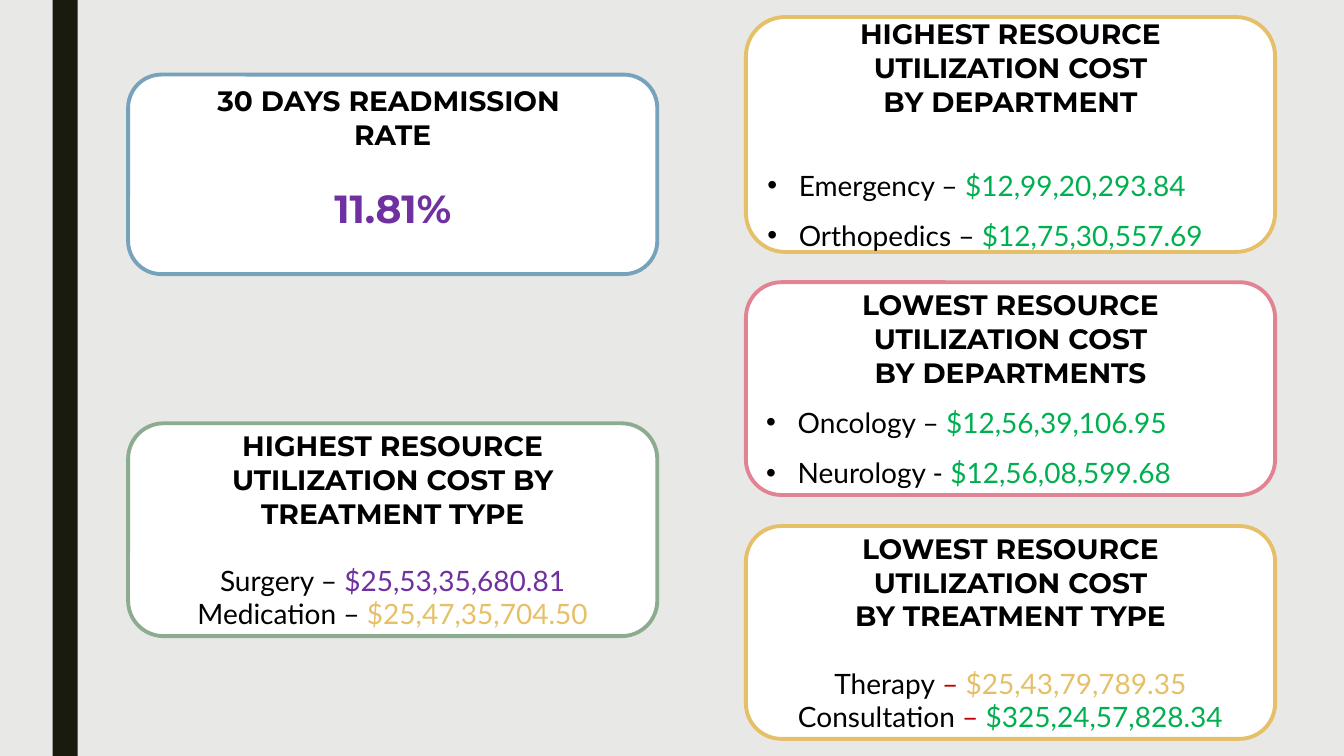
from dataclasses import dataclass
from typing import Any, NamedTuple

from lxml import etree
from pptx import Presentation
from pptx import util as u
from pptx.dml.color import RGBColor
from pptx.enum import shapes, text
from pptx.oxml import ns

BACKDROP = RGBColor(0xE8, 0xE8, 0xE7)
BAR = RGBColor(0x19, 0x1B, 0x0E)
WHITE = RGBColor(0xFF, 0xFF, 0xFF)
BLACK = RGBColor(0x00, 0x00, 0x00)
BLUE = RGBColor(0x77, 0xA2, 0xBB)
SAGE = RGBColor(0x8D, 0xAB, 0x8E)
GOLD = RGBColor(0xE6, 0xC0, 0x69)
PINK = RGBColor(0xE2, 0x83, 0x94)
PURPLE = RGBColor(0x70, 0x30, 0xA0)
GREEN = RGBColor(0x00, 0xB0, 0x50)
RED = RGBColor(0xC0, 0x00, 0x00)

LEFT_X, RIGHT_X = 91.5, 532.8
CARD_W, CARD_H = 378, 152
GAP = 24
INDENT = 22.5

HEADING = {"name": "Montserrat", "size": u.Pt(20), "bold": True}
RATE = HEADING | {"size": u.Pt(28)}
BODY = {"name": "Lato", "size": u.Pt(20), "bold": False}
CENTERED = {"alignment": text.PP_ALIGN.CENTER}
LISTED = {"alignment": text.PP_ALIGN.JUSTIFY, "line_spacing": 1.5}


class Piece(NamedTuple):
    words: str
    color: RGBColor = BLACK


@dataclass
class Line:
    pieces: list[Piece]
    font: dict[str, Any]
    gap: float = 0
    bullet: bool = False


@dataclass
class Card:
    x: float
    y: float
    h: float
    outline: RGBColor
    lines: list[Line]
    bottom_inset: float = 3.6


def heading(*rows: str) -> list[Line]:
    return [Line([Piece(row)], HEADING) for row in rows]


def cost(label: str, dash: str, amount: str, color: RGBColor, gap: float = 0,
         bullet: bool = False, dash_color: RGBColor = BLACK) -> Line:
    pieces = [Piece(label), Piece(dash, dash_color), Piece(amount, color)]
    return Line(pieces, BODY, gap, bullet)


CARDS = [
    Card(LEFT_X, 53.3, 142.5, BLUE, [
        *heading("30 DAYS READMISSION ", "RATE"),
        Line([Piece("11.81%", PURPLE)], RATE, GAP),
    ], 3.6 + GAP),
    Card(LEFT_X, 302.4, CARD_H, SAGE, [
        *heading("HIGHEST RESOURCE UTILIZATION COST BY TREATMENT TYPE"),
        cost("Surgery", " – ", "$25,53,35,680.81", PURPLE, GAP),
        cost("Medication", " – ", "$25,47,35,704.50", GOLD),
    ]),
    Card(RIGHT_X, 375.8, CARD_H, GOLD, [
        *heading("LOWEST RESOURCE UTILIZATION COST", "BY TREATMENT TYPE"),
        cost("Therapy", " – ", "$25,43,79,789.35", GOLD, GAP, dash_color=RED),
        cost("Consultation", " – ", "$325,24,57,828.34", GREEN, dash_color=RED),
    ]),
    Card(RIGHT_X, 201.6, CARD_H, PINK, [
        *heading("LOWEST RESOURCE UTILIZATION COST", "BY DEPARTMENTS"),
        cost("Oncology", " – ", "$12,56,39,106.95", GREEN, bullet=True),
        cost("Neurology", " - ", "$12,56,08,599.68", GREEN, bullet=True),
    ]),
    Card(RIGHT_X, 12.2, 167.8, GOLD, [
        *heading("HIGHEST RESOURCE UTILIZATION COST", "BY DEPARTMENT"),
        cost("Emergency", " – ", "$12,99,20,293.84", GREEN, GAP, True),
        cost("Orthopedics", " – ", "$12,75,30,557.69", GREEN, bullet=True),
    ]),
]


def assign(target: Any, values: dict[str, Any]) -> None:
    for key, value in values.items():
        setattr(target, key, value)


def add_box(s: Any, kind: Any, x: float, y: float, w: float, h: float,
            fill: RGBColor) -> Any:
    sp = s.shapes.add_shape(kind, u.Pt(x), u.Pt(y), u.Pt(w), u.Pt(h))
    sp.shadow.inherit = False
    sp.fill.solid()
    sp.fill.fore_color.rgb = fill
    sp.line.fill.background()
    return sp


def add_bullet(p: Any) -> None:
    pPr = p._p.get_or_add_pPr()
    pPr.set("marL", str(u.Pt(INDENT)))
    pPr.set("indent", str(-u.Pt(INDENT)))
    etree.SubElement(pPr, ns.qn("a:buFont")).set("typeface", "Arial")
    etree.SubElement(pPr, ns.qn("a:buChar")).set("char", "•")


def write_line(p: Any, line: Line) -> None:
    if line.bullet:
        add_bullet(p)
    assign(p, LISTED if line.bullet else CENTERED)
    p.space_before = u.Pt(line.gap)
    for piece in line.pieces:
        r = p.add_run()
        r.text = piece.words
        assign(r.font, line.font)
        r.font.color.rgb = piece.color


def add_card(s: Any, card: Card) -> None:
    sp = add_box(s, shapes.MSO_SHAPE.ROUNDED_RECTANGLE,
                 card.x, card.y, CARD_W, card.h, WHITE)
    sp.line.color.rgb = card.outline
    sp.line.width = u.Pt(2.75)
    tf = sp.text_frame
    assign(tf, {"word_wrap": True, "vertical_anchor": text.MSO_ANCHOR.MIDDLE,
                "margin_bottom": u.Pt(card.bottom_inset)})
    for i, line in enumerate(card.lines):
        write_line(tf.add_paragraph() if i else tf.paragraphs[0], line)


def main() -> None:
    prs = Presentation()
    assign(prs, {"slide_width": u.Pt(960), "slide_height": u.Pt(540)})
    s = prs.slides.add_slide(prs.slide_layouts[6])
    s.background.fill.solid()
    s.background.fill.fore_color.rgb = BACKDROP
    add_box(s, shapes.MSO_SHAPE.RECTANGLE, 37.5, 0, 18, 540, BAR)
    for card in CARDS:
        add_card(s, card)
    prs.save("out.pptx")


if __name__ == "__main__":
    main()
